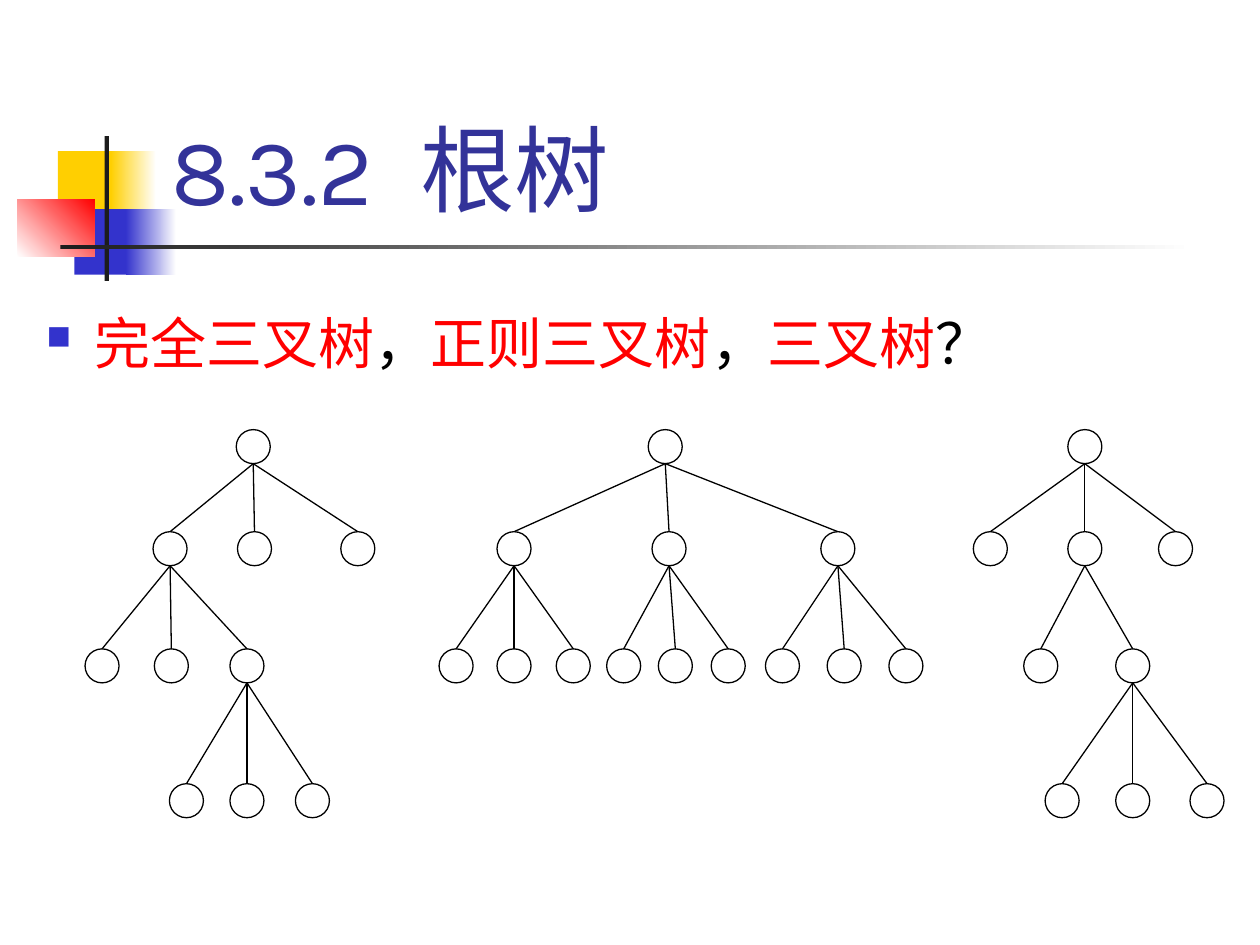
"""Build the slide on rooted trees: a heading, a question and three ternary trees."""
from lxml.etree import SubElement
from pptx import Presentation
from pptx.dml.color import RGBColor
from pptx.enum.shapes import MSO_CONNECTOR as Connector, MSO_SHAPE as Shape
from pptx.enum.text import MSO_ANCHOR as Anchor
from pptx.oxml.ns import qn
from pptx.util import Inches, Pt

YELLOW = RGBColor(0xFF, 0xCF, 0x01)
BLUE = RGBColor(0x33, 0x33, 0xCC)
NAVY = RGBColor(0x33, 0x33, 0x99)
RED = RGBColor(0xFF, 0x00, 0x00)
CHARCOAL = RGBColor(0x1C, 0x1C, 0x1C)
BLACK = RGBColor(0x00, 0x00, 0x00)
WHITE = RGBColor(0xFF, 0xFF, 0xFF)

presentation = Presentation()
presentation.slide_width, presentation.slide_height = Inches(10), Inches(7.5)
slide = presentation.slides.add_slide(presentation.slide_layouts[6])
CELL = presentation.slide_width / 100


def grid(*cells):
    return [round(cell * CELL) for cell in cells]


def add_run(paragraph, text, **formats):
    run = paragraph.add_run()
    run.text = text
    run.font.color.rgb = formats.pop("color")
    for name, value in formats.items():
        setattr(run.font, name, value)
    return run


ORNAMENTS = [
    ((4.6, 12, 4.8, 5.2), [YELLOW], 0),
    ((8.8, 12, 3.6, 5.2), [YELLOW, WHITE], 0),
    ((5.9, 16.6, 4.6, 5.2), [BLUE], 0),
    ((10, 16.6, 4, 5.2), [BLUE, WHITE], 0),
    ((1.4, 15.8, 6.1, 4.6), [WHITE, RED], 45),
    ((8.3, 10.8, 0.35, 11.5), [CHARCOAL], 0),
    ((4.8, 19.45, 90, 0.35), [CHARCOAL, WHITE], 0),
]
for cells, colors, angle in ORNAMENTS:
    ornament = slide.shapes.add_shape(Shape.RECTANGLE, *grid(*cells))
    ornament.shadow.inherit = False
    ornament.line.fill.background()
    if len(colors) == 1:
        ornament.fill.solid()
        ornament.fill.fore_color.rgb = colors[0]
    else:
        ornament.fill.gradient()
        ornament.fill.gradient_angle = angle
        for stop, color in zip(ornament.fill.gradient_stops, colors):
            stop.color.rgb = color

title = slide.shapes.add_textbox(*grid(12.6, 2.3, 85.2, 16)).text_frame
title.word_wrap = True
title.vertical_anchor = Anchor.BOTTOM
title_format = {"size": Pt(54), "name": "Karla", "color": NAVY}
add_run(title.paragraphs[0], "8.3.2", **title_format)
gap = add_run(title.paragraphs[0], " ", **title_format)
gap.font._element.set("spc", "1400")
add_run(title.paragraphs[0], "根树", **title_format)

question = slide.shapes.add_textbox(*grid(2.7, 21.3, 97.3, 53.7)).text_frame
question.word_wrap = True
paragraph = question.paragraphs[0]
paragraph.line_spacing = 1.5
properties = paragraph._p.get_or_add_pPr()
properties.set("marL", str(Inches(0.38)))
properties.set("indent", str(-Inches(0.38)))
bullet_color = SubElement(properties, qn("a:buClr"))
SubElement(bullet_color, qn("a:srgbClr"), val=str(BLUE))
SubElement(properties, qn("a:buSzPct"), val="60000")
SubElement(properties, qn("a:buChar"), char="■")
for term, mark in [("完全三叉树", "，"), ("正则三叉树", "，"), ("三叉树", "？")]:
    for text, color in [(term, RED), (mark, BLACK)]:
        add_run(paragraph, text, size=Pt(32), name="Karla", color=color)

NODE = 2.7
LEVELS = [34.1, 42.2, 51.5, 62.2]
TREES = [
    (20.1, [(13.5, [(8.1, []), (13.6, []),
                    (19.6, [(14.8, []), (19.6, []), (24.8, [])])]),
            (20.2, []), (28.4, [])]),
    (52.8, [(40.8, [(36.2, []), (40.8, []), (45.5, [])]),
            (53.1, [(49.5, []), (53.6, []), (57.8, [])]),
            (66.5, [(62.1, []), (67, []), (71.9, [])])]),
    (86.1, [(78.6, []),
            (86.1, [(82.6, []),
                    (89.9, [(84.3, []), (89.9, []), (95.8, [])])]),
            (93.3, [])]),
]
row = TREES
for level, top in enumerate(LEVELS):
    for center, children in row:
        node = slide.shapes.add_shape(
            Shape.OVAL, *grid(center - NODE / 2, top, NODE, NODE))
        node.shadow.inherit = False
        node.fill.solid()
        node.fill.fore_color.rgb = WHITE
        node.line.color.rgb = BLACK
        node.line.width = Pt(0.75)
        for child_center, _ in children:
            edge = slide.shapes.add_connector(
                Connector.STRAIGHT,
                *grid(center, top + NODE, child_center, LEVELS[level + 1]))
            edge.line.color.rgb = BLACK
            edge.line.width = Pt(0.75)
            SubElement(edge._element.spPr, qn("a:effectLst"))
    row = [child for _, children in row for child in children]

presentation.save("out.pptx")
